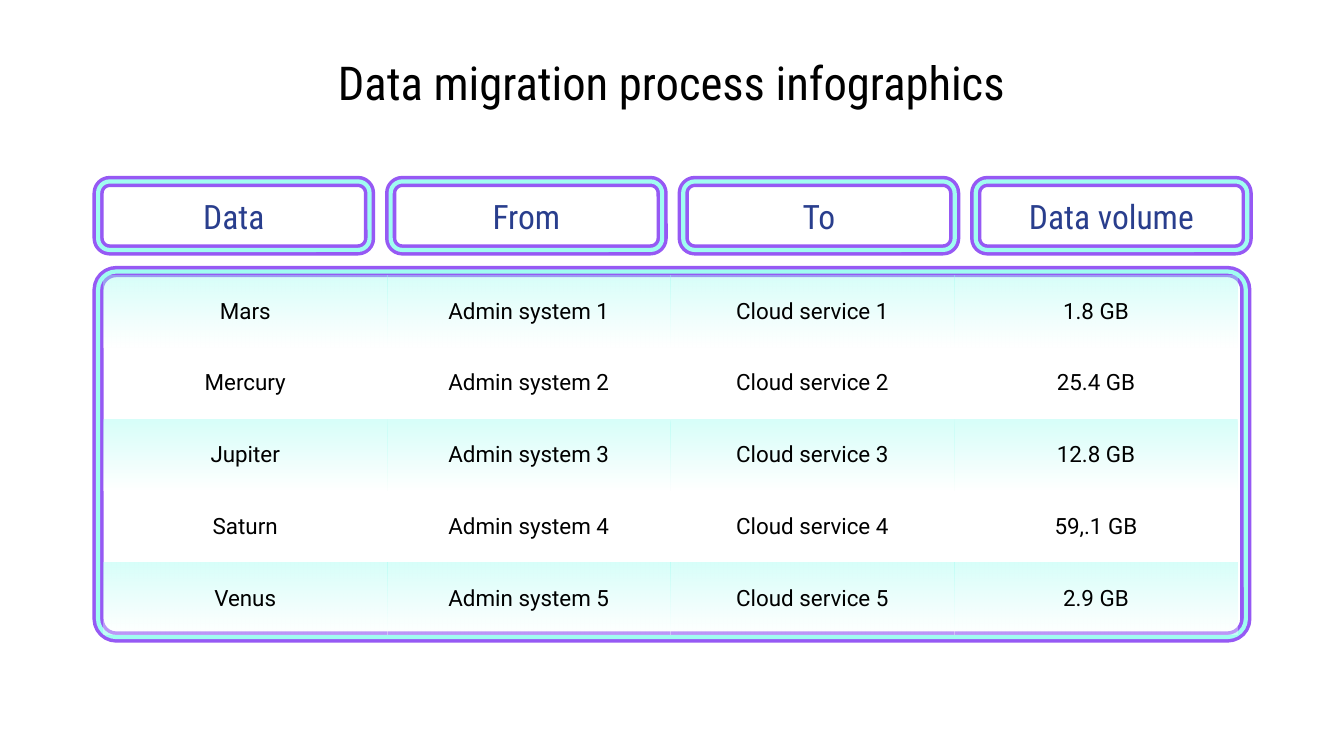
"""Build the data migration slide: a title, four framed headings and a framed table."""
from lxml.etree import SubElement
from pptx import Presentation
from pptx.dml.color import RGBColor
from pptx.enum.shapes import MSO_SHAPE as Shape
from pptx.enum.text import MSO_ANCHOR as Anchor, MSO_AUTO_SIZE as AutoSize, PP_ALIGN as Align
from pptx.oxml.ns import qn
from pptx.util import Inches, Pt

PURPLE, AQUA, NAVY, BLACK, WHITE = "9659F4", "A0FDF1", "293E8D", "000000", "FFFFFF"
NO_STYLE = "{2D5ABB26-0587-4C30-8999-92F81FD0307C}"
MARGIN = Inches(0.1)
LEFT, LAST_LEFT = 0.73, 7.26
TITLE_FORMAT = {"name": "Roboto Condensed", "size": Pt(25), "bold": False}
HEADING_FORMAT = {"name": "Roboto Condensed", "size": Pt(18), "bold": False}
CELL_FORMAT = {"name": "Roboto", "size": Pt(12), "bold": False}
HEADINGS = ["Data", "From", "To", "Data volume"]
ROWS = [
    ("Mars", "1.8 GB", 37),
    ("Mercury", "25.4 GB", None),
    ("Jupiter", "12.8 GB", 42),
    ("Saturn", "59,.1 GB", None),
    ("Venus", "2.9 GB", 37),
]


def write_text(text_frame, text, font_format, color):
    text_frame.text = text
    paragraph = text_frame.paragraphs[0]
    paragraph.alignment = Align.CENTER
    font = paragraph.runs[0].font
    for name, value in font_format.items():
        setattr(font, name, value)
    font.color.rgb = RGBColor.from_string(color)


def add_frame(slide, left, top, width, height, corner):
    group = slide.shapes.add_group_shape()
    for color, weight in ((PURPLE, 6), (AQUA, 2.25)):
        shape = group.shapes.add_shape(
            Shape.ROUNDED_RECTANGLE, Inches(left), Inches(top), Inches(width), Inches(height)
        )
        shape.adjustments[0] = corner
        shape.shadow.inherit = False
        shape.fill.background()
        shape.line.color.rgb = RGBColor.from_string(color)
        shape.line.width = Pt(weight)
    return shape


presentation = Presentation()
presentation.slide_width = Inches(10)
presentation.slide_height = Inches(10 * 9 / 16)
slide = presentation.slides.add_slide(presentation.slide_layouts[5])

title = slide.shapes.title
title.left, title.top = Inches(0.56), Inches(0.33)
title.width, title.height = Inches(8.87), Inches(0.56)
title.text_frame.auto_size = AutoSize.NONE
title.text_frame.vertical_anchor = Anchor.MIDDLE
write_text(title.text_frame, "Data migration process infographics", TITLE_FORMAT, BLACK)

add_frame(slide, LEFT, 2.02, 8.54, 2.72, 0.05)

table = slide.shapes.add_table(
    len(ROWS), len(HEADINGS), Inches(0.77), Inches(2.05), Inches(8.44), Inches(2.67)
).table
table.first_row = table.horz_banding = False
table._tbl.tblPr.find(qn("a:tableStyleId")).text = NO_STYLE

for row, (data, volume, end_opacity) in enumerate(ROWS):
    values = (data, f"Admin system {row + 1}", f"Cloud service {row + 1}", volume)
    for column, value in enumerate(values):
        cell = table.cell(row, column)
        cell.vertical_anchor = Anchor.MIDDLE
        cell.margin_left = cell.margin_right = cell.margin_top = cell.margin_bottom = MARGIN
        write_text(cell.text_frame, value, CELL_FORMAT, BLACK)
        if end_opacity is None:
            cell.fill.background()
            continue
        cell.fill.gradient()
        cell.fill.gradient_angle = 270
        for stop, color in zip(cell.fill.gradient_stops, (AQUA, WHITE)):
            stop.color.rgb = RGBColor.from_string(color)
        color_elements = cell._tc.tcPr.iter(qn("a:srgbClr"))
        for color_element, opacity in zip(color_elements, (42, end_opacity)):
            SubElement(color_element, qn("a:alpha"), val=str(opacity * 1000))

heading_pitch = (LAST_LEFT - LEFT) / (len(HEADINGS) - 1)
for column, heading in enumerate(HEADINGS):
    box = add_frame(slide, LEFT + column * heading_pitch, 1.35, 2.02, 0.51, 0.17)
    box.text_frame.vertical_anchor = Anchor.MIDDLE
    write_text(box.text_frame, heading, HEADING_FORMAT, NAVY)

presentation.save("out.pptx")
